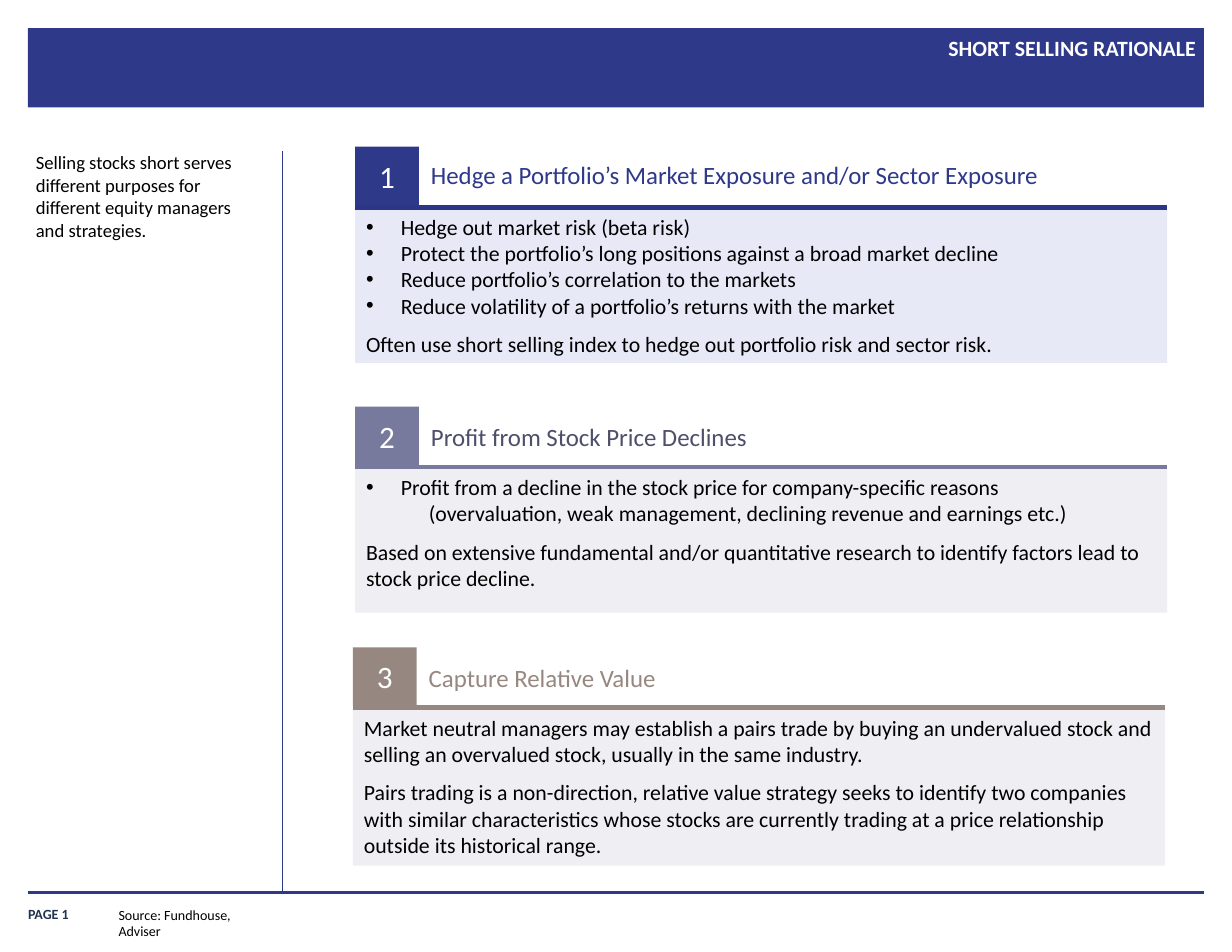
import pptx
import pptx.util
import pptx.dml.color
import pptx.enum.shapes
import pptx.enum.text
import pptx.oxml.ns
import lxml.etree

Inches = pptx.util.Inches
Pt = pptx.util.Pt
Align = pptx.enum.text.PP_ALIGN
Anchor = pptx.enum.text.MSO_ANCHOR

HUES = {
    "navy": "2E398A", "rule": "2B3689", "page": "203353",
    "slate": "77799D", "dusk": "4D4F6B", "taupe": "968880",
    "ice": "E7E9F7", "mist": "EFEFF3",
    "white": "FFFFFF", "black": "000000",
}


def color(name):
    return pptx.dml.color.RGBColor.from_string(HUES[name])


def write(frame, text, size=14, hue="black", bold=False, align=Align.LEFT,
          anchor=Anchor.TOP, inset=None, wrap=True, lines=None):
    """Fill a frame; text is a string or a list of (kind, string) pairs."""
    frame.word_wrap = wrap
    frame.vertical_anchor = anchor
    if inset is not None:
        frame.margin_left = frame.margin_right = Inches(inset)
        frame.margin_top = frame.margin_bottom = Inches(inset)
    items = [("plain", text)] if isinstance(text, str) else text
    for i, (kind, words) in enumerate(items):
        para = frame.paragraphs[0] if i == 0 else frame.add_paragraph()
        para.alignment = align
        props = para._p.get_or_add_pPr()
        if kind == "bullet":
            props.set("marL", str(Inches(0.31)))
            props.set("indent", str(-Inches(0.31)))
            mark = lxml.etree.SubElement(props, pptx.oxml.ns.qn("a:buFont"))
            mark.set("typeface", "Arial")
            mark = lxml.etree.SubElement(props, pptx.oxml.ns.qn("a:buChar"))
            mark.set("char", "•")
        elif kind == "inner":
            para.level = 1
            props.set("marL", str(Inches(0.56)))
            props.set("indent", "0")
        elif i > 0:
            para.space_before = Pt(8)
        if lines:
            para.line_spacing = lines
        run = para.add_run()
        run.text = words
        run.font.name = "Calibri"
        run.font.size = Pt(size)
        run.font.bold = bold
        run.font.color.rgb = color(hue)


class Page:
    """One slide and the house style of its parts."""

    def __init__(self, deck):
        self.slide = deck.slides.add_slide(deck.slide_layouts[6])
        self.shapes = self.slide.shapes

    def box(self, left, top, width, height, hue):
        shape = self.shapes.add_shape(
            pptx.enum.shapes.MSO_SHAPE.RECTANGLE,
            Inches(left), Inches(top), Inches(width), Inches(height))
        shape.shadow.inherit = False
        shape.fill.solid()
        shape.fill.fore_color.rgb = color(hue)
        shape.line.fill.background()
        return shape

    def line(self, x1, y1, x2, y2, hue, width):
        link = self.shapes.add_connector(
            pptx.enum.shapes.MSO_CONNECTOR.STRAIGHT,
            Inches(x1), Inches(y1), Inches(x2), Inches(y2))
        link.line.color.rgb = color(hue)
        link.line.width = Pt(width)
        lxml.etree.SubElement(link._element.spPr,
                              pptx.oxml.ns.qn("a:effectLst"))

    def text(self, left, top, width, height, words, **style):
        area = self.shapes.add_textbox(
            Inches(left), Inches(top), Inches(width), Inches(height))
        write(area.text_frame, words, **style)

    def block(self, left, top, height, number, head, body,
              hue, rule, ink, back, drop):
        """Numbered badge and heading over a tinted panel; top is the rule."""
        badge = self.box(left, top - 0.54, 0.57, 0.52, hue)
        write(badge.text_frame, number, size=20, hue="white",
              align=Align.CENTER, anchor=Anchor.MIDDLE)
        self.box(left, top, 7.25, height, back)
        self.line(left, top, left + 7.25, top, rule, 3)
        self.text(left + 0.58, top - drop, 6.67, 0.37, head,
                  size=16, hue=ink)
        self.text(left, top + 0.01, 7.25, height, body)


BLOCKS = [
    dict(left=3.17, top=1.85, height=1.39, number="1",
         head="Hedge a Portfolio’s Market Exposure and/or Sector Exposure",
         hue="navy", rule="rule", ink="navy", back="ice", drop=0.47,
         body=[
             ("bullet", "Hedge out market risk (beta risk)"),
             ("bullet", "Protect the portfolio’s long positions against "
                        "a broad market decline"),
             ("bullet", "Reduce portfolio’s correlation to the markets"),
             ("bullet", "Reduce volatility of a portfolio’s returns "
                        "with the market"),
             ("plain", "Often use short selling index to hedge out "
                       "portfolio risk and sector risk."),
         ]),
    dict(left=3.17, top=4.17, height=1.3, number="2",
         head="Profit from Stock Price Declines",
         hue="slate", rule="slate", ink="dusk", back="mist", drop=0.45,
         body=[
             ("bullet", "Profit from a decline in the stock price for "
                        "company-specific reasons"),
             ("inner", "(overvaluation, weak management, declining revenue "
                       "and earnings etc.)"),
             ("plain", "Based on extensive fundamental and/or quantitative "
                       "research to identify factors lead to stock price "
                       "decline."),
         ]),
    dict(left=3.15, top=6.32, height=1.41, number="3",
         head="Capture Relative Value",
         hue="taupe", rule="taupe", ink="taupe", back="mist", drop=0.45,
         body=[
             ("plain", "Market neutral managers may establish a pairs trade "
                       "by buying an undervalued stock and selling an "
                       "overvalued stock, usually in the same industry."),
             ("plain", "Pairs trading is a non-direction, relative value "
                       "strategy seeks to identify two companies with "
                       "similar characteristics whose stocks are currently "
                       "trading at a price relationship outside its "
                       "historical range."),
         ]),
]


def main():
    deck = pptx.Presentation()
    deck.slide_width = Inches(11)
    deck.slide_height = Inches(8.5)
    page = Page(deck)

    # Banner and title
    page.box(0.25, 0.25, 10.5, 0.71, "navy")
    page.text(3.17, 0.29, 7.51, 0.67, "SHORT SELLING RATIONALE",
              hue="white", bold=True, align=Align.RIGHT, inset=0, lines=1.1)

    # Footer and side rule
    page.text(0.25, 8.01, 0.91, 0.23, "PAGE 1", size=9, hue="page",
              bold=True, anchor=Anchor.BOTTOM, inset=0)
    page.line(0.25, 7.97, 10.75, 7.97, "navy", 2.25)
    page.line(2.52, 1.35, 2.52, 7.98, "navy", 0.5)
    page.text(0.96, 8.04, 1.42, 0.25, "Source: Fundhouse, Adviser",
              size=9, wrap=False)

    # Side note
    page.text(0.32, 1.35, 2.01, 6.48,
              "Selling stocks short serves different purposes for "
              "different equity managers and strategies.",
              size=12, inset=0)

    # Three reasons
    for block in BLOCKS:
        page.block(**block)

    deck.save("out.pptx")


if __name__ == "__main__":
    main()
